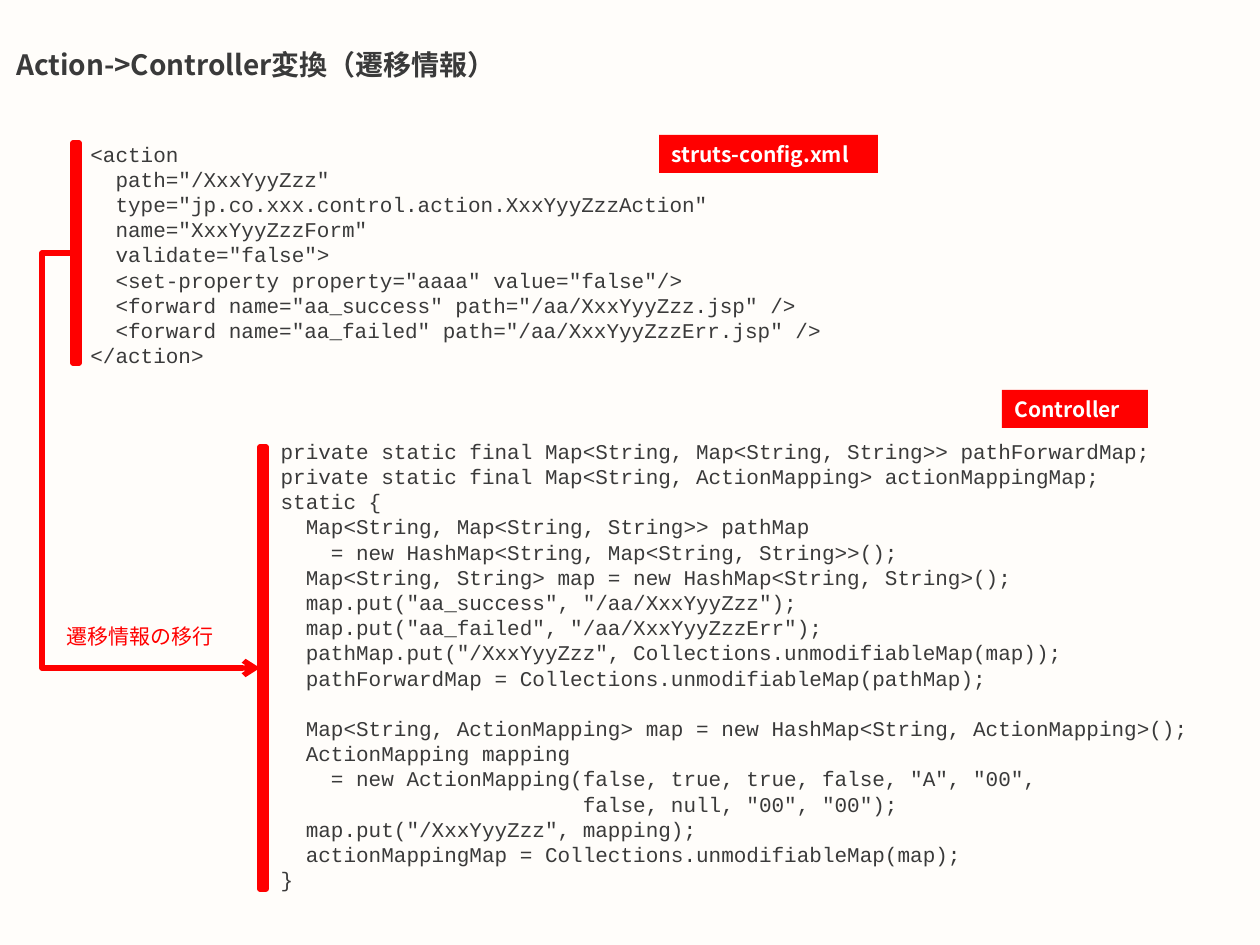
from dataclasses import dataclass

from pptx import Presentation
from pptx import util as u
from pptx.dml.color import RGBColor
from pptx.enum import shapes, text
from pptx.oxml import ns
from lxml import etree


@dataclass(frozen=True)
class Theme:
    background: str = "FFFDFA"
    ink: str = "3A3A3A"
    accent: str = "FF0000"
    on_accent: str = "FFFFFF"
    sans: str = "Noto Sans CJK JP"
    mono: str = "Courier New"
    title_size: int = 16
    body_size: int = 12
    line_width: int = 3
    code_pitch: float = 14.4


THEME = Theme()
EMU_PER_PX = 914400 / 126

ACTION_XML = """<action
  path="/XxxYyyZzz"
  type="jp.co.xxx.control.action.XxxYyyZzzAction"
  name="XxxYyyZzzForm"
  validate="false">
  <set-property property="aaaa" value="false"/>
  <forward name="aa_success" path="/aa/XxxYyyZzz.jsp" />
  <forward name="aa_failed" path="/aa/XxxYyyZzzErr.jsp" />
</action>"""

FORWARD_MAP_JAVA = """  private static final Map<String, Map<String, String>> pathForwardMap;
  private static final Map<String, ActionMapping> actionMappingMap;
  static {
    Map<String, Map<String, String>> pathMap
      = new HashMap<String, Map<String, String>>();
    Map<String, String> map = new HashMap<String, String>();
    map.put("aa_success", "/aa/XxxYyyZzz");
    map.put("aa_failed", "/aa/XxxYyyZzzErr");
    pathMap.put("/XxxYyyZzz", Collections.unmodifiableMap(map));
    pathForwardMap = Collections.unmodifiableMap(pathMap);"""

ACTION_MAPPING_JAVA = """    Map<String, ActionMapping> map = new HashMap<String, ActionMapping>();
    ActionMapping mapping
      = new ActionMapping(false, true, true, false, "A", "00",
                          false, null, "00", "00");
    map.put("/XxxYyyZzz", mapping);
    actionMappingMap = Collections.unmodifiableMap(map);
  }"""


def px(*lengths):
    return [u.Emu(round(length * EMU_PER_PX)) for length in lengths]


def rgb(color):
    return RGBColor.from_string(color)


def write(shape, content, color, font=THEME.sans, size=THEME.body_size,
          bold=False, pitch=None, anchor=text.MSO_ANCHOR.MIDDLE):
    frame = shape.text_frame
    frame.text = content
    frame.word_wrap = True
    frame.vertical_anchor = anchor
    for paragraph in frame.paragraphs:
        paragraph.alignment = text.PP_ALIGN.LEFT
        if pitch:
            paragraph.line_spacing = u.Pt(pitch)
        paragraph.font.size = u.Pt(size)
        for run in paragraph.runs:
            run.font.size = u.Pt(size)
            run.font.bold = bold
            run.font.color.rgb = rgb(color)
            run.font.name = font
            # East Asian glyphs take the same typeface
            east_asian = etree.SubElement(run.font._element, ns.qn("a:ea"))
            east_asian.set("typeface", font)


def add_text(slide, box, content, color, **style):
    write(slide.shapes.add_textbox(*px(*box)), content, color, **style)


def add_code(slide, box, code):
    add_text(slide, box, code, THEME.ink, font=THEME.mono,
             pitch=THEME.code_pitch, anchor=text.MSO_ANCHOR.TOP)


def add_block(slide, box):
    shape = slide.shapes.add_shape(shapes.MSO_SHAPE.RECTANGLE, *px(*box))
    shape.shadow.inherit = False
    shape.fill.solid()
    shape.fill.fore_color.rgb = rgb(THEME.accent)
    shape.line.fill.background()
    return shape


def add_bar(slide, box):
    bar = add_block(slide, box)
    bar.line.color.rgb = rgb(THEME.accent)
    bar.line.width = u.Pt(THEME.line_width)


def add_label(slide, box, content):
    write(add_block(slide, box), content, THEME.on_accent, bold=True)


def add_elbow_arrow(slide, start, end, bend_x):
    connector = slide.shapes.add_connector(
        shapes.MSO_CONNECTOR.ELBOW, *px(*start, *end))
    connector.line.color.rgb = rgb(THEME.accent)
    connector.line.width = u.Pt(THEME.line_width)
    properties = connector._element.spPr
    # Place the vertical leg at bend_x
    ratio = (bend_x - start[0]) / (end[0] - start[0])
    geometry = properties.find(ns.qn("a:prstGeom"))
    guides = geometry.find(ns.qn("a:avLst"))
    if guides is None:
        guides = etree.SubElement(geometry, ns.qn("a:avLst"))
    etree.SubElement(guides, ns.qn("a:gd"), name="adj1",
                     fmla=f"val {round(ratio * 100000)}")
    line = properties.find(ns.qn("a:ln"))
    etree.SubElement(line, ns.qn("a:tailEnd"), type="arrow")
    etree.SubElement(properties, ns.qn("a:effectLst"))


def main():
    presentation = Presentation()
    presentation.slide_width, presentation.slide_height = px(1260, 945)
    slide = presentation.slides.add_slide(presentation.slide_layouts[6])
    slide.background.fill.solid()
    slide.background.fill.fore_color.rgb = rgb(THEME.background)

    # Title
    add_text(slide, (4, 37, 630, 54), "Action->Controller変換（遷移情報）",
             THEME.ink, size=THEME.title_size, bold=True)

    # Configuration and the controller code made from it
    add_code(slide, (78, 135, 830, 238), ACTION_XML)
    add_code(slide, (243, 432, 989, 436),
             "\n\n".join([FORWARD_MAP_JAVA, ACTION_MAPPING_JAVA]))
    add_bar(slide, (73, 143, 6, 220))
    add_bar(slide, (260, 447, 6, 442))

    # Migration arrow between the bars
    add_elbow_arrow(slide, (73, 253), (260, 668), 42)
    add_text(slide, (54, 617, 204, 38), "遷移情報の移行", THEME.accent)

    # File labels
    add_label(slide, (659, 135, 219, 38), "struts-config.xml")
    add_label(slide, (1002, 390, 146, 38), "Controller")

    presentation.save("out.pptx")


if __name__ == "__main__":
    main()
